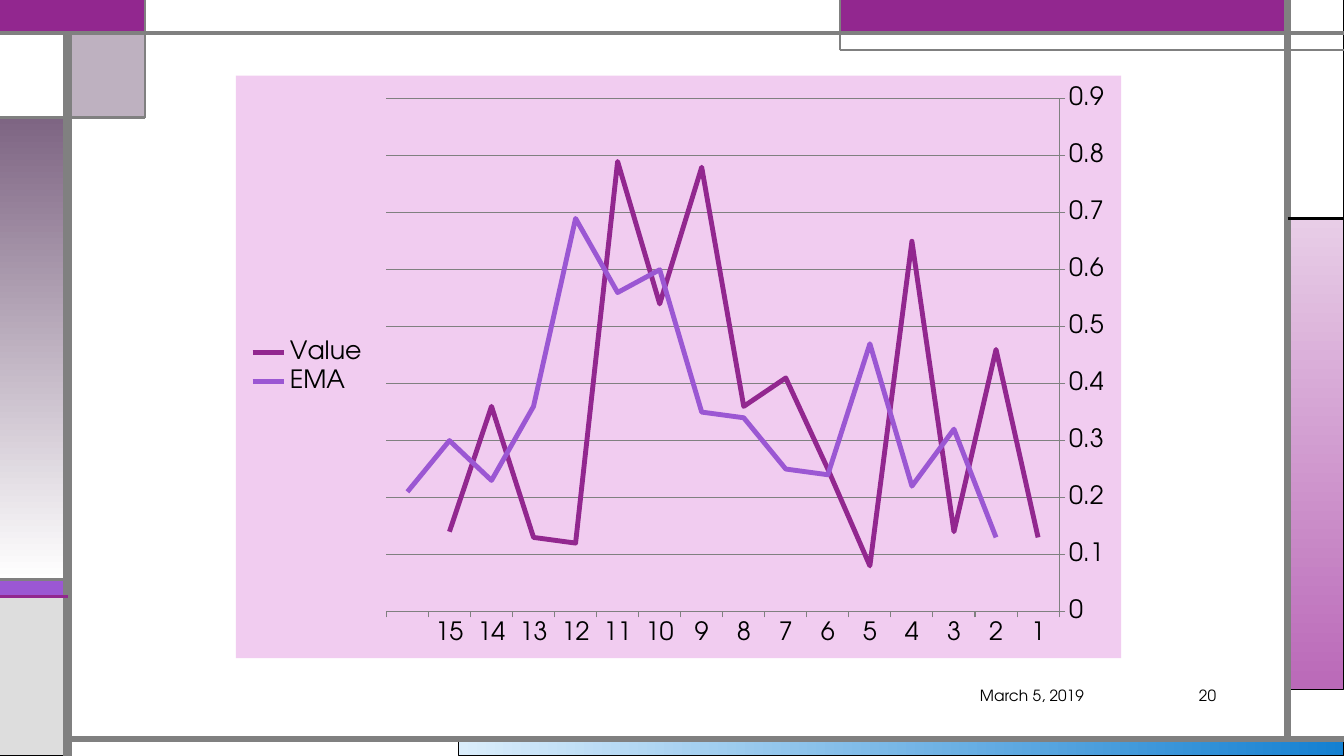
from dataclasses import dataclass
from typing import NamedTuple, Optional

from lxml.etree import SubElement
from pptx import Presentation
from pptx.chart.data import CategoryChartData
from pptx.dml.color import RGBColor
from pptx.enum.chart import XL_CHART_TYPE as ChartType, XL_LEGEND_POSITION as LegendPosition
from pptx.enum.chart import XL_TICK_MARK as TickMark
from pptx.enum.shapes import MSO_CONNECTOR as Connector, MSO_SHAPE as Shape
from pptx.enum.text import MSO_ANCHOR as Anchor, PP_ALIGN as Align
from pptx.oxml import parse_xml
from pptx.oxml.ns import nsdecls, qn
from pptx.util import Inches, Pt


@dataclass(frozen=True)
class Theme:
    font: str = "TeX Gyre Adventor"
    black: str = "000000"
    white: str = "FFFFFF"
    gray: str = "808080"
    silver: str = "DDDDDD"
    purple: str = "92278F"
    violet: str = "9B57D3"
    indigo: str = "755DD9"
    mauve: str = "7E6583"
    pale_pink: str = "E8CDE7"
    orchid: str = "BA69B8"
    pale_blue: str = "DAEDFB"
    blue: str = "1480D1"
    chart_pink: str = "F1CCF0"
    chart_size: int = 18
    footer_size: int = 11
    hairline: float = 0.75
    series_width: float = 3.5


THEME = Theme()
WIDTH, HEIGHT = 13.33, 7.5

# Frame positions shared by panels and bars
LEFT, RIGHT = 0.67, 12.77
TOP, BOTTOM = 0.33, 7.33
TAB_RIGHT, TAB_BOTTOM = 1.44, 1.17
BANNER, BANNER_BOTTOM = 8.33, 0.5
SIDE_TOP, STRIPE_TOP, STRIPE_BOTTOM = 2.17, 5.75, 5.92


class Panel(NamedTuple):
    left: float
    top: float
    right: float
    bottom: float
    color: str
    fade_to: Optional[str] = None
    angle: float = 270
    outline: str = THEME.black
    outline_width: float = THEME.hairline
    opacity: int = 100


class Bar(NamedTuple):
    x1: float
    y1: float
    x2: float
    y2: float
    width: float
    color: str = THEME.gray


class Footer(NamedTuple):
    left: float
    width: float
    text: str


class Series(NamedTuple):
    name: str
    values: tuple
    color: str


PANELS = (
    Panel(4.55, BOTTOM, WIDTH, HEIGHT, THEME.pale_blue, THEME.blue, angle=0),
    Panel(RIGHT, SIDE_TOP, WIDTH, 6.84, THEME.pale_pink, THEME.orchid),
    Panel(0, STRIPE_TOP, LEFT, STRIPE_BOTTOM, THEME.violet),
    Panel(0, STRIPE_BOTTOM, LEFT, HEIGHT, THEME.silver),
    Panel(RIGHT, 0, WIDTH, SIDE_TOP, THEME.white),
    Panel(BANNER, 0, RIGHT, TOP, THEME.purple, outline=THEME.indigo),
    Panel(LEFT, TOP, TAB_RIGHT, TAB_BOTTOM, THEME.mauve, opacity=50),
    Panel(0, TAB_BOTTOM, LEFT, STRIPE_TOP, THEME.mauve, THEME.white),
    Panel(0, TOP, LEFT, TAB_BOTTOM, THEME.white),
    Panel(0, 0, TAB_RIGHT, TOP, THEME.purple, outline=THEME.purple, outline_width=1.5),
    Panel(TAB_RIGHT, 0, BANNER, TOP, THEME.white, outline=THEME.gray),
)
BARS = (
    Bar(LEFT, HEIGHT, LEFT, TOP, 6),
    Bar(LEFT, BOTTOM, WIDTH, BOTTOM, 4.5),
    Bar(RIGHT, BOTTOM, RIGHT, 0, 4.5),
    Bar(0, TOP, WIDTH, TOP, 3),
    Bar(WIDTH, BANNER_BOTTOM, BANNER, BANNER_BOTTOM, 1.5),
    Bar(BANNER, BANNER_BOTTOM, BANNER, 0, 1.5),
    Bar(RIGHT, SIDE_TOP, WIDTH, SIDE_TOP, 2.25, THEME.black),
    Bar(TAB_RIGHT, 0, TAB_RIGHT, TAB_BOTTOM, 1.5),
    Bar(TAB_RIGHT, TAB_BOTTOM, 0, TAB_BOTTOM, 2.25),
    Bar(LEFT, STRIPE_TOP, 0, STRIPE_TOP, 2.25),
    Bar(LEFT, STRIPE_BOTTOM, 0, STRIPE_BOTTOM, 2.25, THEME.purple),
)
FOOTERS = (Footer(9.41, 1.44, "March 5, 2019"), Footer(11.08, 1.08, "20"))
PERIODS = [str(period) for period in range(1, 16)] + [""]
SERIES = (
    Series("Value", (0.13, 0.46, 0.14, 0.65, 0.08, 0.25, 0.41, 0.36, 0.78, 0.54,
                     0.79, 0.12, 0.13, 0.36, 0.14, None), THEME.purple),
    Series("EMA", (None, 0.13, 0.32, 0.22, 0.47, 0.24, 0.25, 0.34, 0.35, 0.6,
                   0.56, 0.69, 0.36, 0.23, 0.3, 0.21), THEME.violet),
)


def rgb(color: str) -> RGBColor:
    return RGBColor.from_string(color)


def style_line(line, color: str, width: float) -> None:
    line.color.rgb = rgb(color)
    line.width = Pt(width)


def style_font(font, size: int) -> None:
    font.name = THEME.font
    font.size = Pt(size)
    font.color.rgb = rgb(THEME.black)


def draw_panel(slide, panel: Panel) -> None:
    rect = slide.shapes.add_shape(
        Shape.RECTANGLE, Inches(panel.left), Inches(panel.top),
        Inches(panel.right - panel.left), Inches(panel.bottom - panel.top))
    rect.shadow.inherit = False
    if panel.fade_to:
        rect.fill.gradient()
        rect.fill.gradient_angle = panel.angle
        for stop, color in zip(rect.fill.gradient_stops, (panel.color, panel.fade_to)):
            stop.color.rgb = rgb(color)
    else:
        rect.fill.solid()
        rect.fill.fore_color.rgb = rgb(panel.color)
    if panel.opacity < 100:
        tint = rect.element.spPr.find(qn("a:solidFill"))[0]
        SubElement(tint, qn("a:alpha")).set("val", str(panel.opacity * 1000))
    style_line(rect.line, panel.outline, panel.outline_width)


def draw_bar(slide, bar: Bar) -> None:
    line = slide.shapes.add_connector(
        Connector.STRAIGHT, Inches(bar.x1), Inches(bar.y1), Inches(bar.x2), Inches(bar.y2))
    style_line(line.line, bar.color, bar.width)
    SubElement(line.element.spPr, qn("a:effectLst"))


def draw_footer(slide, footer: Footer) -> None:
    frame = slide.shapes.add_textbox(
        Inches(footer.left), Inches(6.75), Inches(footer.width), Inches(0.3)).text_frame
    frame.word_wrap = True
    frame.vertical_anchor = Anchor.MIDDLE
    paragraph = frame.paragraphs[0]
    paragraph.alignment = Align.RIGHT
    run = paragraph.add_run()
    run.text = footer.text
    style_font(run.font, THEME.footer_size)


def frame_chart(chart) -> None:
    """Fill the chart area and fix the inner plot area as fractions of it."""
    body = chart.element.find(qn("c:chart"))
    body.addnext(parse_xml(
        f'<c:spPr {nsdecls("c", "a")}><a:solidFill><a:srgbClr val="{THEME.chart_pink}"/>'
        '</a:solidFill><a:ln><a:noFill/></a:ln></c:spPr>'))
    plot_area = body.find(qn("c:plotArea"))
    for automatic in plot_area.findall(qn("c:layout")):
        plot_area.remove(automatic)
    places = (("layoutTarget", "inner"), ("xMode", "edge"), ("yMode", "edge"),
              ("x", 0.17), ("y", 0.04), ("w", 0.76), ("h", 0.88))
    rules = "".join(f'<c:{name} val="{value}"/>' for name, value in places)
    plot_area.insert(0, parse_xml(
        f'<c:layout {nsdecls("c")}><c:manualLayout>{rules}</c:manualLayout></c:layout>'))


def draw_chart(slide) -> None:
    data = CategoryChartData()
    data.categories = PERIODS
    for series in SERIES:
        data.add_series(series.name, series.values)
    chart = slide.shapes.add_chart(
        ChartType.LINE, Inches(2.34), Inches(0.75), Inches(8.78), Inches(5.78), data).chart
    chart.has_title = False
    style_font(chart.font, THEME.chart_size)
    chart.has_legend = True
    chart.legend.position = LegendPosition.LEFT
    chart.legend.include_in_layout = False
    style_font(chart.legend.font, THEME.chart_size)
    periods, values = chart.category_axis, chart.value_axis
    periods.reverse_order = True
    values.minimum_scale, values.maximum_scale, values.major_unit = 0, 0.9, 0.1
    values.has_major_gridlines = True
    style_line(values.major_gridlines.format.line, THEME.gray, THEME.hairline)
    for axis in (periods, values):
        axis.major_tick_mark = TickMark.OUTSIDE
        style_line(axis.format.line, THEME.gray, THEME.hairline)
    plot = chart.plots[0]
    plot.vary_by_categories = False
    for curve, series in zip(plot.series, SERIES):
        curve.smooth = False
        style_line(curve.format.line, series.color, THEME.series_width)
    frame_chart(chart)


def main() -> None:
    deck = Presentation()
    deck.slide_width, deck.slide_height = Inches(WIDTH), Inches(HEIGHT)
    slide = deck.slides.add_slide(deck.slide_layouts[6])
    for panel in PANELS:
        draw_panel(slide, panel)
    for bar in BARS:
        draw_bar(slide, bar)
    for footer in FOOTERS:
        draw_footer(slide, footer)
    draw_chart(slide)
    deck.save("out.pptx")


if __name__ == "__main__":
    main()
